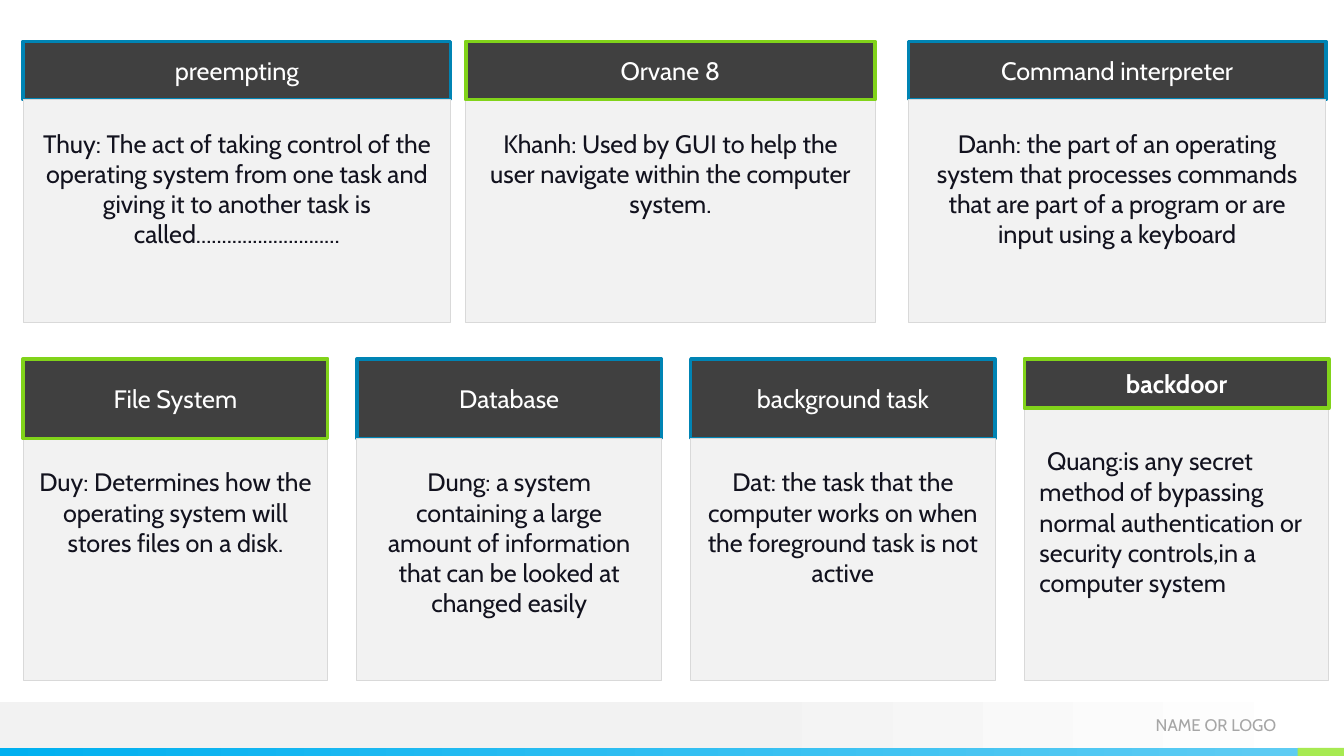
"""Build a slide of seven operating-system terms with their definitions."""
import pptx
import pptx.dml.color
import pptx.enum.shapes
import pptx.enum.text
import pptx.util

RGBColor = pptx.dml.color.RGBColor
Inches = pptx.util.Inches
Pt = pptx.util.Pt
Align = pptx.enum.text.PP_ALIGN
Anchor = pptx.enum.text.MSO_ANCHOR

BLUE = RGBColor(0x00, 0x84, 0xB4)
GREEN = RGBColor(0x81, 0xD3, 0x1A)
DARK = RGBColor(0x40, 0x40, 0x40)
PALE = RGBColor(0xF2, 0xF2, 0xF2)
EDGE = RGBColor(0xD9, 0xD9, 0xD9)
INK = RGBColor(0x12, 0x12, 0x1E)
WHITE = RGBColor(0xFF, 0xFF, 0xFF)
GREY = RGBColor(0xA6, 0xA6, 0xA6)
SKY = RGBColor(0x00, 0xB0, 0xF0)
LIGHT_SKY = RGBColor(0x5E, 0xCC, 0xF3)
LIME = RGBColor(0xA7, 0xEA, 0x52)

FONT = "Cabin"
WIDTH, HEIGHT = 13.33, 7.5
MARGIN = 0.23
COLUMN, STEP = 3.02, 3.31
BAND_TOP, STRIP_TOP, CORNER = 6.96, 7.42, 0.46
HEADER_INSETS = (0.12, 0.04, 0.12, 0.04)
BODY_INSETS = (0.15, 0.28, 0.15, 0)

TOP_ROW = {"top": 0.41, "bottom": 3.2, "cards": [
    (MARGIN, 4.24, 0.58, BLUE, "preempting",
     "Thuy: The act of taking control of the operating system from one task and "
     "giving it to another task is called............................"),
    (4.62, 4.06, 0.58, GREEN, "Orvane 8",
     "Khanh: Used by GUI to help the user navigate within the computer system."),
    (9.01, 4.14, 0.58, BLUE, "Command interpreter",
     "Danh: the part of an operating system that processes commands that are "
     "part of a program or are input using a keyboard"),
]}
BOTTOM_TERMS = [
    (0.79, GREEN, "File System",
     "Duy: Determines how the operating system will stores files on a disk."),
    (0.79, BLUE, "Database",
     "Dung: a system containing a large amount of information that can be "
     "looked at changed easily"),
    (0.79, BLUE, "background task",
     "Dat: the task that the computer works on when the foreground task is not active"),
    (0.49, GREEN, "backdoor",
     "Quang:is any secret method of bypassing normal authentication or "
     "security controls,in a computer system"),
]
BOTTOM_ROW = {"top": 3.56, "bottom": 6.75, "cards": [
    (MARGIN + STEP * column, COLUMN, *term) for column, term in enumerate(BOTTOM_TERMS)
]}
SPECIAL_TERM = "backdoor"


def add_box(slide, left, top, width, height, fill=None, line=None, line_width=0.75):
    """Add a rectangle with a solid fill and an optional outline."""
    shape = slide.shapes.add_shape(
        pptx.enum.shapes.MSO_SHAPE.RECTANGLE,
        Inches(left), Inches(top), Inches(width), Inches(height))
    shape.shadow.inherit = False
    if fill is not None:
        shape.fill.solid()
        shape.fill.fore_color.rgb = fill
    if line is None:
        shape.line.fill.background()
    else:
        shape.line.color.rgb = line
        shape.line.width = Pt(line_width)
    return shape


def add_gradient(slide, left, top, width, height, stops):
    """Add a rectangle shaded from left to right."""
    shape = add_box(slide, left, top, width, height)
    shape.fill.gradient()
    shape.fill.gradient_angle = 0
    for stop, (position, color) in zip(shape.fill.gradient_stops, stops):
        stop.position = position
        stop.color.rgb = color


def write(shape, text, color, size, align, anchor, insets):
    """Fill a shape with one paragraph and return it."""
    frame = shape.text_frame
    frame.word_wrap = True
    frame.vertical_anchor = anchor
    (frame.margin_left, frame.margin_top,
     frame.margin_right, frame.margin_bottom) = map(Inches, insets)
    paragraph = frame.paragraphs[0]
    paragraph.alignment = align
    paragraph.font.name = FONT
    paragraph.font.size = Pt(size)
    paragraph.font.color.rgb = color
    paragraph.add_run().text = text
    return paragraph


def add_header(slide, left, top, width, height, accent, term):
    """Add the dark bar that names a term."""
    shape = add_box(slide, left, top, width, height, DARK, accent, 2.5)
    paragraph = write(shape, term, WHITE, 18, Align.CENTER, Anchor.MIDDLE, HEADER_INSETS)
    paragraph.space_before, paragraph.space_after = Pt(10), Pt(5)
    paragraph.font.bold = term == SPECIAL_TERM


def add_body(slide, left, top, width, height, term, definition):
    """Add the pale panel that explains a term."""
    shape = add_box(slide, left, top, width, height, PALE, EDGE)
    special = term == SPECIAL_TERM
    align = Align.LEFT if special else Align.CENTER
    lead = " " if special else definition
    paragraph = write(shape, lead, INK, 18, align, Anchor.TOP, BODY_INSETS)
    paragraph.space_before, paragraph.space_after = Pt(10), Pt(5)
    if special:
        paragraph.runs[0].font.size = Pt(24)
        paragraph.runs[0].font.bold = True
        paragraph.add_run().text = definition


def add_footer(slide):
    """Add the bottom band, the coloured strip and the footer text."""
    add_gradient(slide, 0, BAND_TOP, WIDTH, STRIP_TOP - BAND_TOP,
                 [(0.53, PALE), (1, WHITE)])
    add_gradient(slide, 0, STRIP_TOP, WIDTH - CORNER, HEIGHT - STRIP_TOP,
                 [(0, SKY), (1, LIGHT_SKY)])
    add_box(slide, WIDTH - CORNER, STRIP_TOP, CORNER, HEIGHT - STRIP_TOP, LIME)
    label = slide.shapes.add_textbox(
        Inches(10.42), Inches(BAND_TOP), Inches(2.24), Inches(0.47))
    write(label, "NAME OR LOGO", GREY, 12, Align.RIGHT, Anchor.MIDDLE, (0, 0, 0, 0))


def add_cards(slide, row):
    """Add a row of cards, with green headers above their panels."""
    top = row["top"]
    for left, width, header, accent, term, definition in row["cards"]:
        header_box = (left, top, width, header, accent, term)
        if accent == BLUE:
            add_header(slide, *header_box)
        add_body(slide, left, top + header, width, row["bottom"] - top - header,
                 term, definition)
        if accent == GREEN:
            add_header(slide, *header_box)


def main():
    """Create and save the presentation."""
    presentation = pptx.Presentation()
    presentation.slide_width = Inches(WIDTH)
    presentation.slide_height = Inches(HEIGHT)
    slide = presentation.slides.add_slide(presentation.slide_layouts[6])
    add_footer(slide)
    for row in (TOP_ROW, BOTTOM_ROW):
        add_cards(slide, row)
    presentation.save("out.pptx")


if __name__ == "__main__":
    main()
